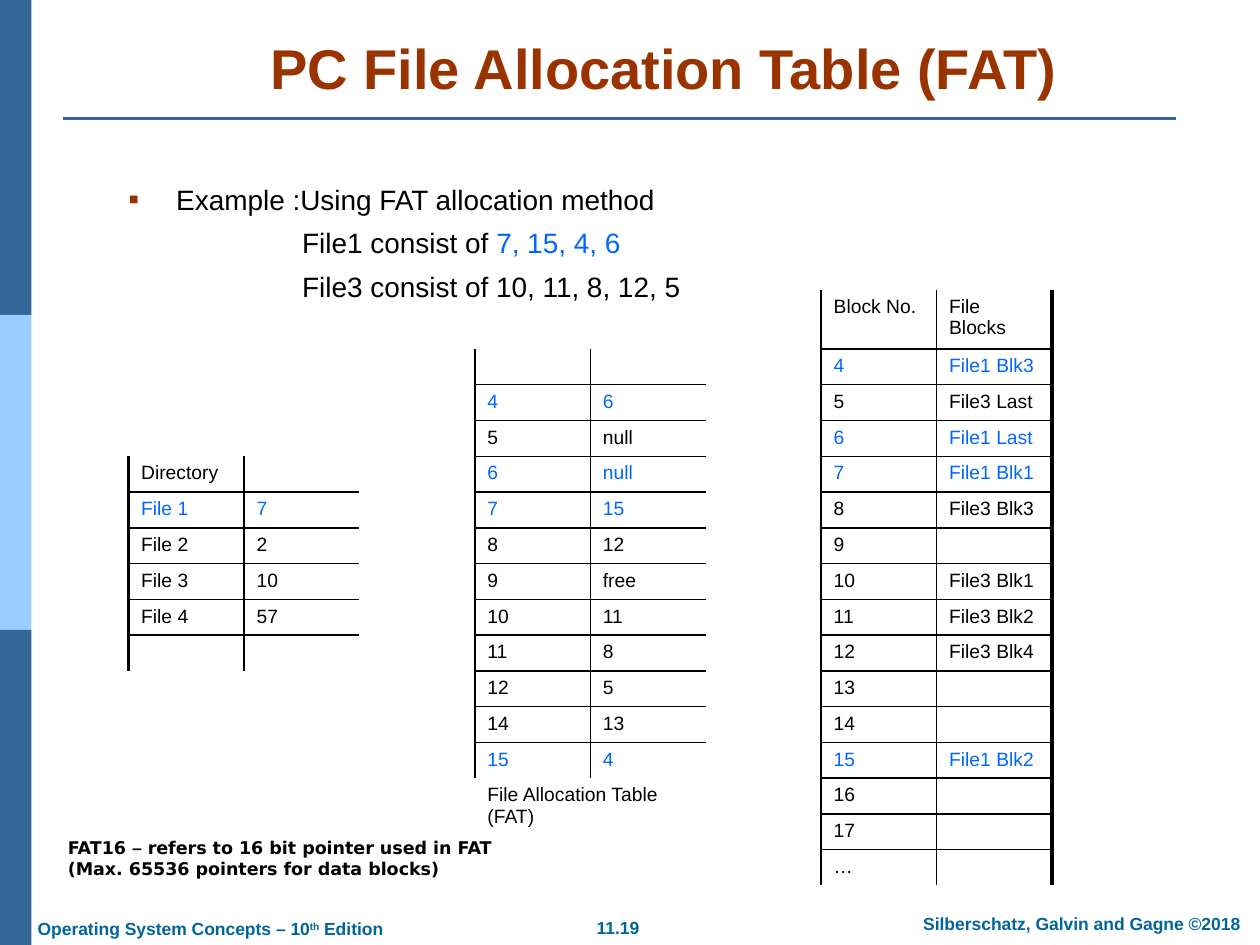
from dataclasses import dataclass

from lxml.etree import SubElement
from pptx import Presentation
from pptx.dml.color import RGBColor
from pptx.enum.shapes import MSO_CONNECTOR as Connector, MSO_SHAPE as Shape
from pptx.enum.text import MSO_ANCHOR as Anchor, PP_ALIGN as Align
from pptx.oxml.ns import qn
from pptx.util import Inches, Pt


@dataclass(frozen=True)
class Theme:
    font: str = "Arial"
    note_font: str = "DejaVu Sans"
    ink: str = "000000"
    file1: str = "0066FF"
    heading: str = "993300"
    footer: str = "006699"
    band: str = "336699"
    light_band: str = "99CCFF"
    title_size: int = 32
    body_size: int = 16
    cell_size: int = 11
    small_size: int = 10
    thin: float = 1
    thick: float = 2.25


THEME = Theme()
WIDTH, HEIGHT = 10, 7.5
ROWS, COLS = 16, 8
TABLE_LEFT, TABLE_TOP, TABLE_WIDTH = 1.02, 2.3, 7.33
HEADER_HEIGHT, ROW_HEIGHT = 0.47, 4.25 / 15

DIRECTORY = [("Directory", ""), ("File 1", "7"), ("File 2", "2"),
             ("File 3", "10"), ("File 4", "57"), ("", "")]
FAT = [("", ""), ("4", "6"), ("5", "null"), ("6", "null"), ("7", "15"),
       ("8", "12"), ("9", "free"), ("10", "11"), ("11", "8"), ("12", "5"),
       ("14", "13"), ("15", "4")]
BLOCK_OWNERS = {4: "File1 Blk3", 5: "File3 Last", 6: "File1 Last",
                7: "File1 Blk1", 8: "File3 Blk3", 10: "File3 Blk1",
                11: "File3 Blk2", 12: "File3 Blk4", 15: "File1 Blk2"}
BLOCKS = [("Block No.", "File Blocks"),
          *((str(n), BLOCK_OWNERS.get(n, "")) for n in range(4, 18)),
          ("…", "")]
FILE1_KEYS = {"File 1", "4", "6", "7", "15"}
GAPS = [(0, 0, 0, 4), (0, 5, 15, 5), (1, 0, 2, 1), (1, 2, 12, 2),
        (3, 0, 3, 1), (10, 0, 12, 1), (13, 0, 15, 2), (13, 3, 15, 4)]


def color(code):
    return RGBColor.from_string(code)


def write(paragraph, *pieces, size, ink=THEME.ink, font=THEME.font, bold=False,
          align=Align.LEFT, before=0):
    paragraph.alignment = align
    paragraph.space_before = Pt(before)
    for piece in pieces:
        words, changes = piece if isinstance(piece, tuple) else (piece, {})
        run = paragraph.add_run()
        run.text = words
        run.font.size = Pt(size)
        run.font.bold = bold
        run.font.name = changes.get("font", font)
        run.font.color.rgb = color(changes.get("ink", ink))
        if "raised" in changes:
            run.font._element.set("baseline", str(changes["raised"]))


def text_frame(slide, left, top, width, height, wrap=True, anchor=Anchor.TOP):
    box = slide.shapes.add_textbox(*map(Inches, (left, top, width, height)))
    frame = box.text_frame
    frame.word_wrap = wrap
    frame.vertical_anchor = anchor
    return frame


def indent(paragraph, margin, first=0.0, bullet=None):
    props = paragraph._p.get_or_add_pPr()
    props.set("marL", str(Inches(margin)))
    props.set("indent", str(Inches(first)))
    if bullet:
        tint = SubElement(props, qn("a:buClr"))
        SubElement(tint, qn("a:srgbClr"), val=THEME.heading)
        SubElement(props, qn("a:buSzPct"), val="110000")
        SubElement(props, qn("a:buFont"), typeface=THEME.font)
        SubElement(props, qn("a:buChar"), char=bullet)


def add_decor(slide):
    third = HEIGHT / 3
    for i, fill in enumerate((THEME.band, THEME.light_band, THEME.band)):
        band = slide.shapes.add_shape(
            Shape.RECTANGLE, 0, Inches(i * third), Inches(0.25), Inches(third))
        band.shadow.inherit = False
        band.fill.solid()
        band.fill.fore_color.rgb = color(fill)
        band.line.fill.background()
    rule = slide.shapes.add_connector(
        Connector.STRAIGHT, *map(Inches, (0.5, 0.94, 9.33, 0.94)))
    rule.line.color.rgb = color(THEME.band)
    rule.line.width = Pt(1.5)
    SubElement(rule._element.spPr, qn("a:effectLst"))


def add_footers(slide):
    style = dict(size=THEME.small_size, ink=THEME.footer, bold=True)
    number = text_frame(slide, 4.62, 7.23, 0.57, 0.27, wrap=False)
    write(number.paragraphs[0], "11.19", align=Align.CENTER, **style)
    authors = text_frame(slide, 7.17, 7.2, WIDTH - 7.17, 0.27)
    write(authors.paragraphs[0], "Silberschatz, Galvin and Gagne ©2018",
          align=Align.CENTER, **style)
    edition = text_frame(slide, 0.2, 7.24, 2.99, 0.26, wrap=False)
    write(edition.paragraphs[0], "Operating System Concepts – 10",
          ("th", {"raised": 30000}), " Edition", **style)


def add_example(slide):
    frame = text_frame(slide, 0.92, 1.4, 7.91, 1.92)
    example = frame.paragraphs[0]
    write(example, "Example :Using FAT allocation method", size=THEME.body_size)
    indent(example, 0.38, -0.38, "▪")
    for pieces in (("File1 consist of ", ("7, 15, 4, 6", {"ink": THEME.file1})),
                   ("File3 consist of 10, 11, 8, 12, 5",)):
        chain = frame.add_paragraph()
        write(chain, *pieces, size=THEME.body_size, before=5.6)
        indent(chain, 1.38)


def set_borders(cell, weights):
    props = cell._tc.get_or_add_tcPr()
    for side, weight in zip("LRTB", weights):
        line = SubElement(props, qn(f"a:ln{side}"), w=str(Pt(weight)))
        if weight:
            fill = SubElement(line, qn("a:solidFill"))
            SubElement(fill, qn("a:srgbClr"), val=THEME.ink)
        else:
            SubElement(line, qn("a:noFill"))


def fill_section(table, entries, top, left, upright, level, edges):
    for row, entry in enumerate(entries, top):
        ink = THEME.file1 if entry[0] in FILE1_KEYS else THEME.ink
        for col, words in enumerate(entry, left):
            if words:
                write(table.cell(row, col).text_frame.paragraphs[0], words,
                      size=THEME.cell_size, ink=ink)
            if row > top:
                level[row, col] = THEME.thin
        for offset, weight in enumerate(edges):
            upright[row, left + offset] = weight


def add_tables(slide):
    frame = slide.shapes.add_table(
        ROWS, COLS, Inches(TABLE_LEFT), Inches(TABLE_TOP), Inches(TABLE_WIDTH),
        Inches(HEADER_HEIGHT + (ROWS - 1) * ROW_HEIGHT))
    table = frame.table
    table.first_row = table.horz_banding = False
    for column in table.columns:
        column.width = Inches(TABLE_WIDTH / COLS)
    for i, row in enumerate(table.rows):
        row.height = Inches(ROW_HEIGHT if i else HEADER_HEIGHT)

    upright, level = {}, {}
    thin, thick = THEME.thin, THEME.thick
    for entries, top, left, edges in ((DIRECTORY, 4, 0, (thick, thin, 0)),
                                      (FAT, 1, 3, (thin, thin, 0)),
                                      (BLOCKS, 0, 6, (thin, thin, thick))):
        fill_section(table, entries, top, left, upright, level, edges)
    write(table.cell(13, 3).text_frame.paragraphs[0],
          "File Allocation Table (FAT)", size=THEME.cell_size)

    for row in range(ROWS):
        for col in range(COLS):
            cell = table.cell(row, col)
            set_borders(cell, (upright.get((row, col), 0),
                               upright.get((row, col + 1), 0),
                               level.get((row, col), 0),
                               level.get((row + 1, col), 0)))
            cell.fill.background()
            SubElement(cell.text_frame.paragraphs[0]._p, qn("a:endParaRPr"),
                       sz=str(THEME.cell_size * 100))
    for top, left, bottom, right in GAPS:
        table.cell(top, left).merge(table.cell(bottom, right))


def add_note(slide):
    frame = text_frame(slide, 0.44, 6.59, 3.92, 0.43)
    style = dict(size=THEME.small_size, font=THEME.note_font, bold=True)
    write(frame.paragraphs[0], "FAT16 ", ("–", {"font": THEME.font}),
          " refers to 16 bit pointer used in FAT", **style)
    write(frame.add_paragraph(), "(Max. 65536 pointers for data blocks)", **style)


def add_title(slide):
    frame = text_frame(slide, 0.92, 0.18, 8.7, 0.67, anchor=Anchor.BOTTOM)
    write(frame.paragraphs[0], "PC File Allocation Table (FAT)", bold=True,
          size=THEME.title_size, ink=THEME.heading, align=Align.CENTER)


def main():
    deck = Presentation()
    deck.slide_width, deck.slide_height = Inches(WIDTH), Inches(HEIGHT)
    slide = deck.slides.add_slide(deck.slide_layouts[6])
    for add_part in (add_decor, add_footers, add_example, add_tables,
                     add_note, add_title):
        add_part(slide)
    deck.save("out.pptx")


if __name__ == "__main__":
    main()
